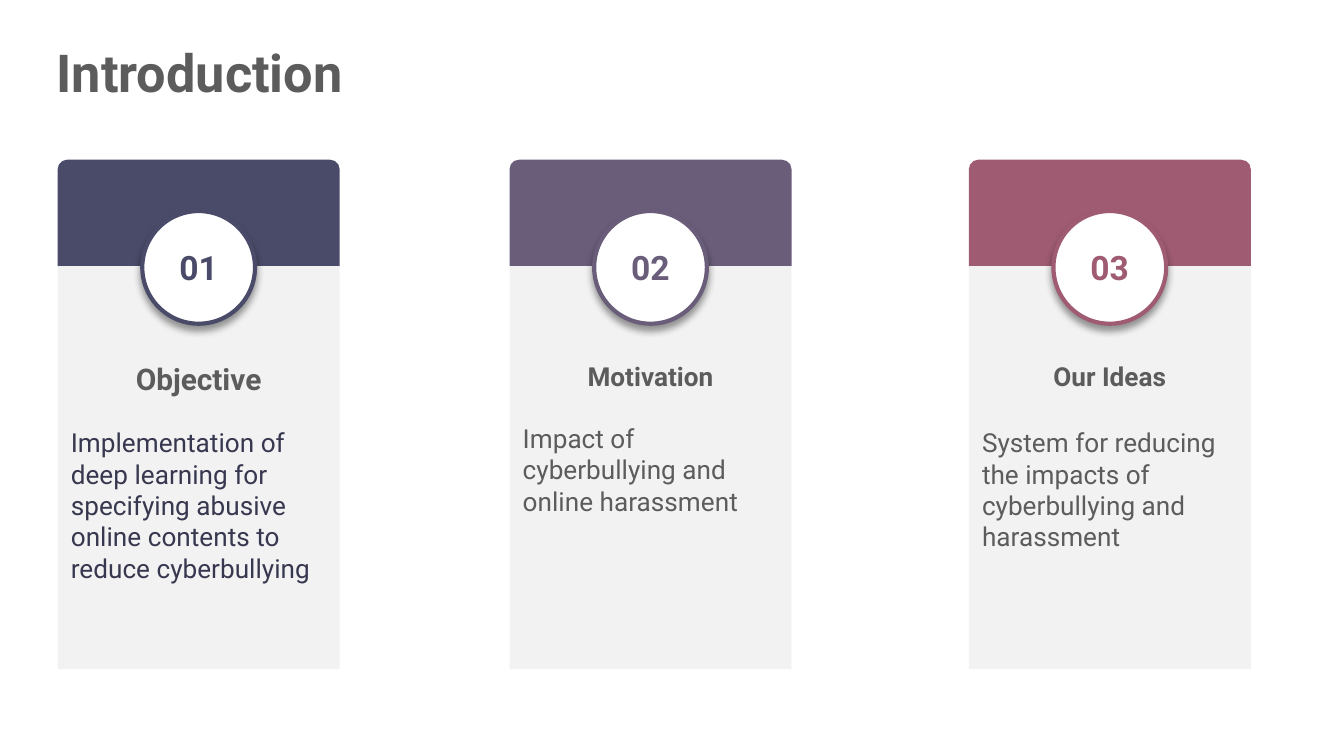
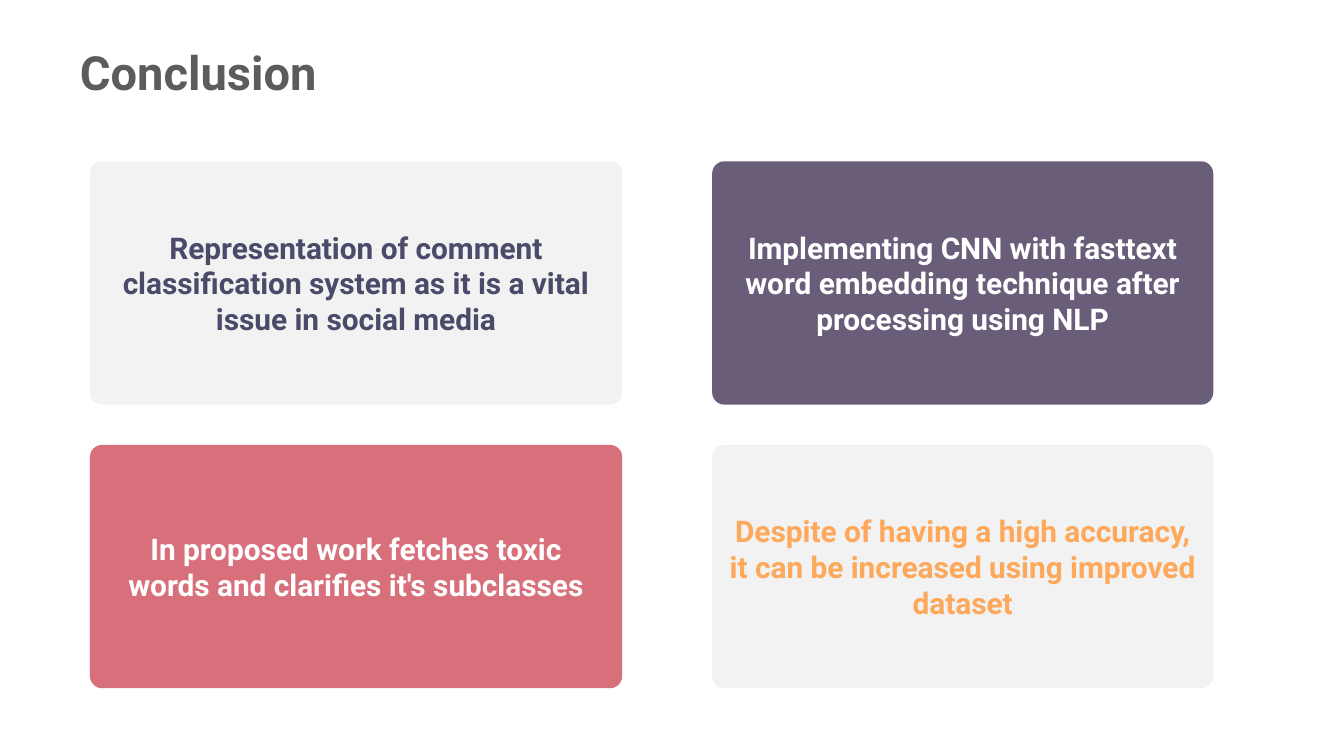
from collections import namedtuple

from lxml import etree
from pptx import Presentation
from pptx.dml.color import RGBColor
from pptx.enum.shapes import MSO_SHAPE
from pptx.enum.text import MSO_ANCHOR, MSO_AUTO_SIZE, PP_ALIGN
from pptx.oxml.ns import qn
from pptx.util import Cm, Pt

LEFT, CENTER = PP_ALIGN.LEFT, PP_ALIGN.CENTER
TOP, MIDDLE = MSO_ANCHOR.TOP, MSO_ANCHOR.MIDDLE
NO_AUTOFIT = MSO_AUTO_SIZE.NONE
RECTANGLE, OVAL = MSO_SHAPE.RECTANGLE, MSO_SHAPE.OVAL
ROUNDED, ROUND_TOP = MSO_SHAPE.ROUNDED_RECTANGLE, MSO_SHAPE.ROUND_2_SAME_RECTANGLE

FONT = "Roboto"
GRAY, PALE, WHITE = "5C5C5C", "F2F2F2", "FFFFFF"
NAVY, INK, PURPLE = "494B69", "37384F", "695D7A"
MAUVE, CORAL, ORANGE = "9F5B72", "D8707C", "FDA85A"

TITLE_ONLY = 5
DEFAULT_INSETS = (0.25, 0.13, 0.25, 0.13)

# All box values are centimetres
Box = namedtuple("Box", "left top width height")
TITLE_BOX = Box(1.07, 0.79, 23.24, 1.14)


# Shared helpers
def color(hex_value):
    return RGBColor.from_string(hex_value)


def apply(target, values):
    for name, value in values.items():
        setattr(target, name, value)


def lengths(box):
    return [Cm(value) for value in box]


def set_frame(frame, anchor, insets=DEFAULT_INSETS):
    left, top, right, bottom = insets
    apply(frame, {
        "word_wrap": True, "auto_size": NO_AUTOFIT, "vertical_anchor": anchor,
        "margin_left": Cm(left), "margin_top": Cm(top),
        "margin_right": Cm(right), "margin_bottom": Cm(bottom),
    })


def write(para, text, size, hex_value, bold=True, align=CENTER, space_before=0):
    apply(para, {"alignment": align, "space_before": Pt(space_before)})
    span = para.add_run()
    span.text = text
    apply(span.font, {"name": FONT, "size": Pt(size), "bold": bold})
    span.font.color.rgb = color(hex_value)


def add_block(shapes, kind, box, fill, corners=()):
    block = shapes.add_shape(kind, *lengths(box))
    block.shadow.inherit = False
    block.fill.solid()
    block.fill.fore_color.rgb = color(fill)
    block.line.fill.background()
    for index, corner in enumerate(corners):
        block.adjustments[index] = corner
    return block


def add_drop_shadow(shape):
    effects = shape.element.spPr.find(qn("a:effectLst"))
    shadow = etree.SubElement(effects, qn("a:outerShdw"), {
        "blurRad": str(Pt(4)), "dist": str(Pt(3)), "dir": "5400000",
        "algn": "t", "rotWithShape": "0",
    })
    tint = etree.SubElement(shadow, qn("a:srgbClr"), val="000000")
    etree.SubElement(tint, qn("a:alpha"), val="40000")


def add_page(deck, title, size, indent=0):
    page = deck.slides.add_slide(deck.slide_layouts[TITLE_ONLY])
    left, top, width, height = lengths(TITLE_BOX)
    apply(page.shapes.title, {"left": left, "top": top, "width": width, "height": height})
    frame = page.shapes.title.text_frame
    set_frame(frame, MIDDLE, (indent, 0, 0, 0))
    write(frame.paragraphs[0], title, size, GRAY, align=LEFT)
    return page


# Card: coloured cap, pale panel and numbered badge
Card = namedtuple("Card", "number accent heading heading_size text text_color gap")


def add_card(page, box, card):
    cap_height, badge_size = 2.01, 2.13
    parts = page.shapes.add_group_shape().shapes
    add_block(parts, ROUND_TOP, box._replace(height=cap_height), card.accent, (0.09, 0))
    panel_box = box._replace(top=box.top + cap_height, height=box.height - cap_height)
    panel = add_block(parts, RECTANGLE, panel_box, PALE)
    frame = panel.text_frame
    set_frame(frame, TOP, (0.25, 1.78, 0.25, 0.13))
    write(frame.paragraphs[0], card.heading, card.heading_size, GRAY)
    write(frame.add_paragraph(), card.text, 14, card.text_color,
          bold=False, align=LEFT, space_before=card.gap)

    badge_box = Box(box.left + (box.width - badge_size) / 2, box.top + 0.97,
                    badge_size, badge_size)
    badge = add_block(page.shapes, OVAL, badge_box, WHITE)
    badge.line.color.rgb = color(card.accent)
    badge.line.width = Pt(2.25)
    add_drop_shadow(badge)
    set_frame(badge.text_frame, MIDDLE)
    write(badge.text_frame.paragraphs[0], card.number, 18, card.accent)


def add_introduction(deck):
    page = add_page(deck, "Introduction", 28)
    cards = [
        Card("01", NAVY, "Objective", 16,
             "Implementation of deep learning for specifying abusive online "
             "contents to reduce cyberbullying", INK, 16.4),
        Card("02", PURPLE, "Motivation", 14,
             "Impact of cyberbullying and online harassment", GRAY, 16.4),
        Card("03", MAUVE, "Our Ideas", 14,
             "System for reducing the impacts of cyberbullying and harassment",
             GRAY, 18.75),
    ]
    for left, card in zip((1.09, 9.63, 18.31), cards):
        add_card(page, Box(left, 3.02, 5.33, 9.63), card)


# Statement grid: two columns of rounded tiles
def add_tile(page, box, text, fill, text_color):
    tile = add_block(page.shapes, ROUNDED, box, fill, (0.05,))
    set_frame(tile.text_frame, MIDDLE)
    write(tile.text_frame.paragraphs[0], text, 16, text_color)


def add_conclusion(deck):
    page = add_page(deck, "Conclusion", 25.2, indent=0.44)
    columns = [(1.7, 10.06), (13.46, 9.47)]
    tiles = [
        [("Representation of comment classification system as it is a vital "
          "issue in social media", PALE, NAVY),
         ("In proposed work fetches toxic words and clarifies it's subclasses",
          CORAL, WHITE)],
        [("Implementing CNN with fasttext word embedding technique after "
          "processing using NLP", PURPLE, WHITE),
         ("Despite of having a high accuracy, it can be increased using "
          "improved dataset", PALE, ORANGE)],
    ]
    top, height, gap = 3.05, 4.6, 0.76
    for (left, width), column in zip(columns, tiles):
        for row, tile in enumerate(column):
            add_tile(page, Box(left, top + row * (height + gap), width, height), *tile)


deck = Presentation()
apply(deck, {"slide_width": Cm(25.4), "slide_height": Cm(14.29)})
add_introduction(deck)
add_conclusion(deck)
deck.save("out.pptx")
